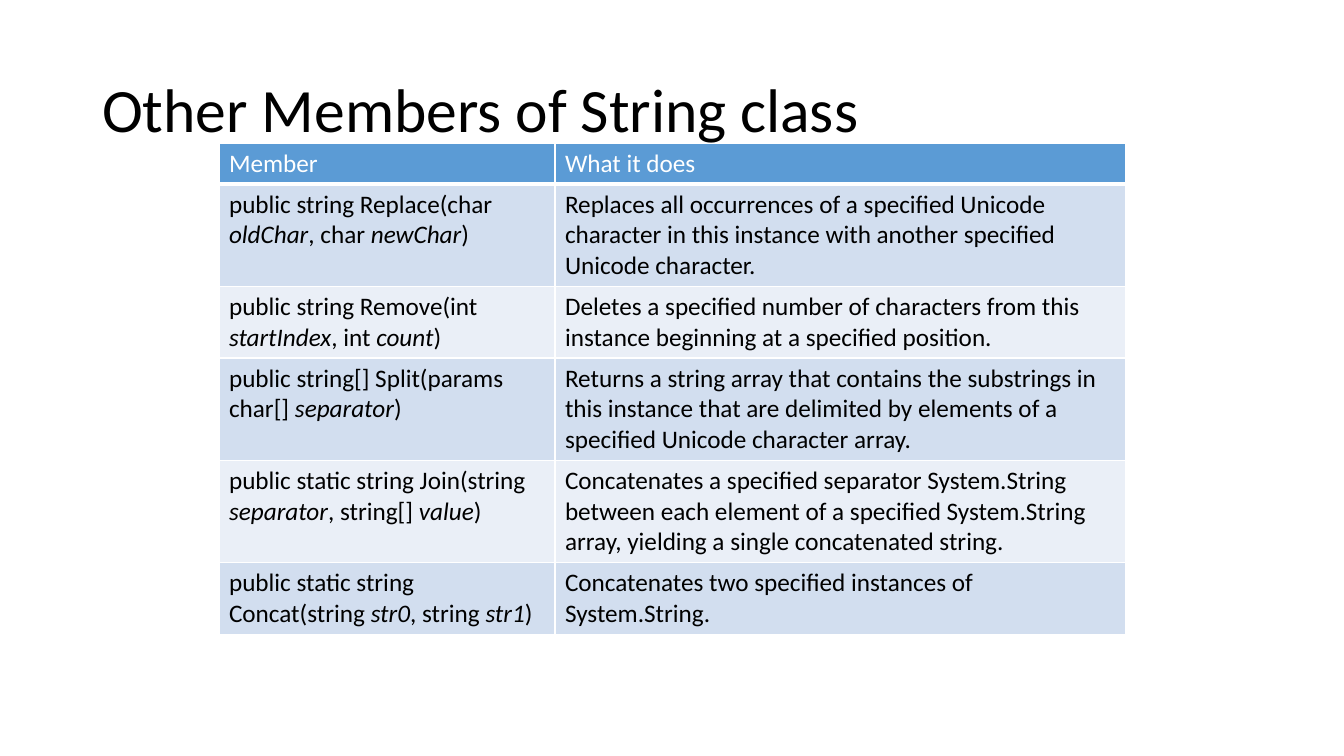
from dataclasses import dataclass

from lxml.etree import SubElement
from pptx import Presentation
from pptx.dml.color import RGBColor as RGB
from pptx.enum.text import MSO_ANCHOR as ANCHOR, PP_ALIGN as ALIGN
from pptx.oxml.ns import qn
from pptx.util import Pt

SLIDE_W, SLIDE_H = 1344, 756
SCALE = 12192000 / SLIDE_W


@dataclass(frozen=True)
class Theme:
    font: str = "Calibri"
    title_size: int = 44
    table_size: int = 18
    text: str = "000000"
    white: str = "FFFFFF"
    header: str = "5B9BD5"
    bands: tuple = ("D2DEEF", "EAEFF7")


T = Theme()

HEADINGS = ("Member", "What it does")
# Asterisks enclose italic parameter names
MEMBERS = [
    ("public string Replace(char *oldChar*, char *newChar*)",
     "Replaces all occurrences of a specified Unicode character in this instance "
     "with another specified Unicode character."),
    ("public string Remove(int *startIndex*, int *count*)",
     "Deletes a specified number of characters from this instance beginning at a "
     "specified position."),
    ("public string[] Split(params char[] *separator*)",
     "Returns a string array that contains the substrings in this instance that are "
     "delimited by elements of a specified Unicode character array."),
    ("public static string Join(string *separator*, string[] *value*)",
     "Concatenates a specified separator System.String between each element of a "
     "specified System.String array, yielding a single concatenated string."),
    ("public static string Concat(string *str0*, string *str1*)",
     "Concatenates two specified instances of System.String."),
]


def px(n):
    return round(n * SCALE)


def write(tf, text, size=T.table_size, color=T.text, spacing=None):
    p = tf.paragraphs[0]
    p.alignment = ALIGN.LEFT
    p.line_spacing = spacing
    for i, part in enumerate(text.split("*")):
        r = p.add_run()
        r.text = part
        f = r.font
        f.name, f.size, f.bold, f.italic = T.font, Pt(size), False, i % 2 == 1
        f.color.rgb = RGB.from_string(color)


def set_borders(cell, bottom=1):
    tc_pr = cell._tc.get_or_add_tcPr()
    for side, width in (("L", 1), ("R", 1), ("T", 1), ("B", bottom)):
        ln = SubElement(tc_pr, qn(f"a:ln{side}"), w=str(Pt(width)))
        SubElement(SubElement(ln, qn("a:solidFill")), qn("a:srgbClr"), val=T.white)


def add_members_table(s, box, col_widths, row_h):
    rows = [HEADINGS, *MEMBERS]
    frame = s.shapes.add_table(len(rows), len(HEADINGS), *map(px, box))
    table = frame.table
    for col, width in zip(table.columns, col_widths):
        col.width = px(width)
    for i, (row, texts) in enumerate(zip(table.rows, rows)):
        row.height = px(row_h)  # rows grow to fit their text
        is_header = i == 0
        fill = T.header if is_header else T.bands[(i - 1) % 2]
        for cell, text in zip(row.cells, texts):
            set_borders(cell, bottom=3 if is_header else 1)
            cell.fill.solid()
            cell.fill.fore_color.rgb = RGB.from_string(fill)
            write(cell.text_frame, text, color=T.white if is_header else T.text)
    frame.height = px(box[3])


def place_title(s, box, text):
    title = s.shapes.title
    title.left, title.top, title.width, title.height = map(px, box)
    tf = title.text_frame
    tf.word_wrap = True
    tf.vertical_anchor = ANCHOR.MIDDLE
    write(tf, text, size=T.title_size, spacing=0.9)
    # The title lies in front of the table
    title.element.getparent().append(title.element)


prs = Presentation()
prs.slide_width, prs.slide_height = px(SLIDE_W), px(SLIDE_H)
s = prs.slides.add_slide(prs.slide_layouts.get_by_name("Title Only"))

add_members_table(s, (219, 143, 907, 485), col_widths=(336, 571), row_h=41)
place_title(s, (92, 40, 1159, 146), "Other Members of String class")

prs.save("out.pptx")
